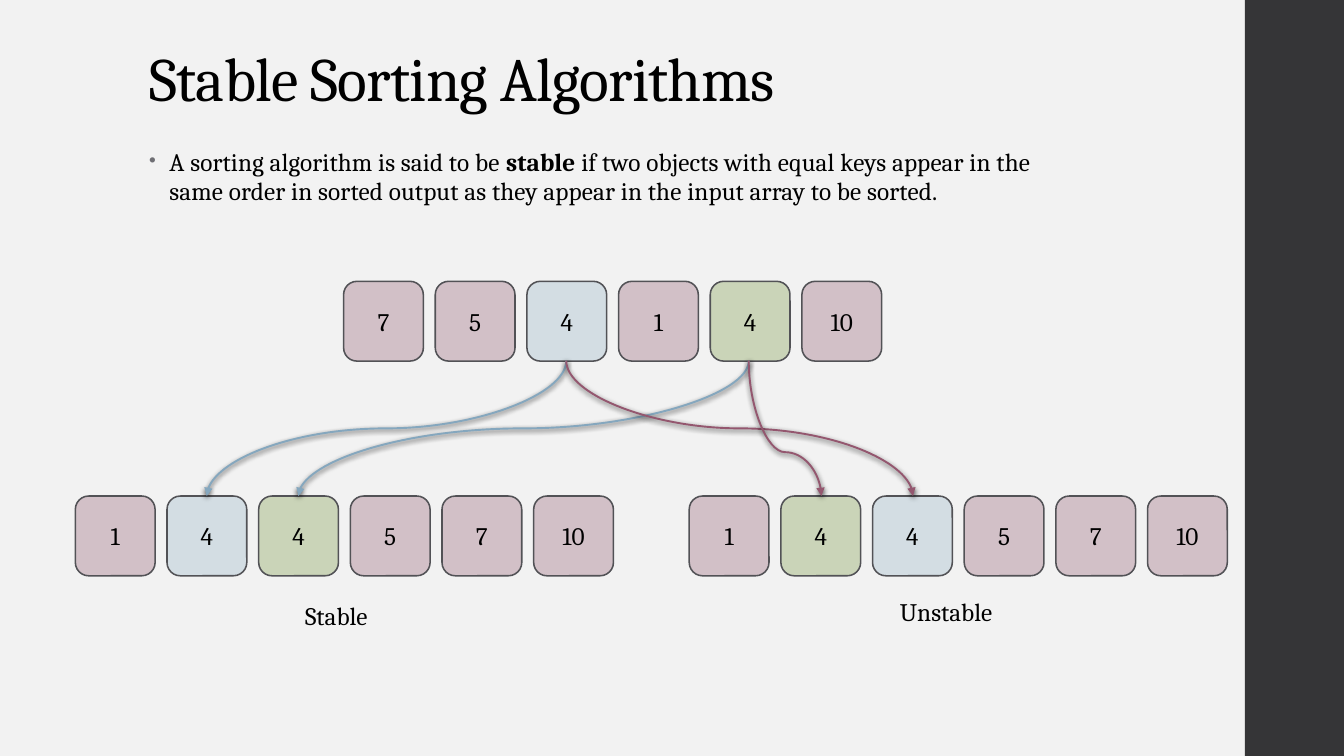
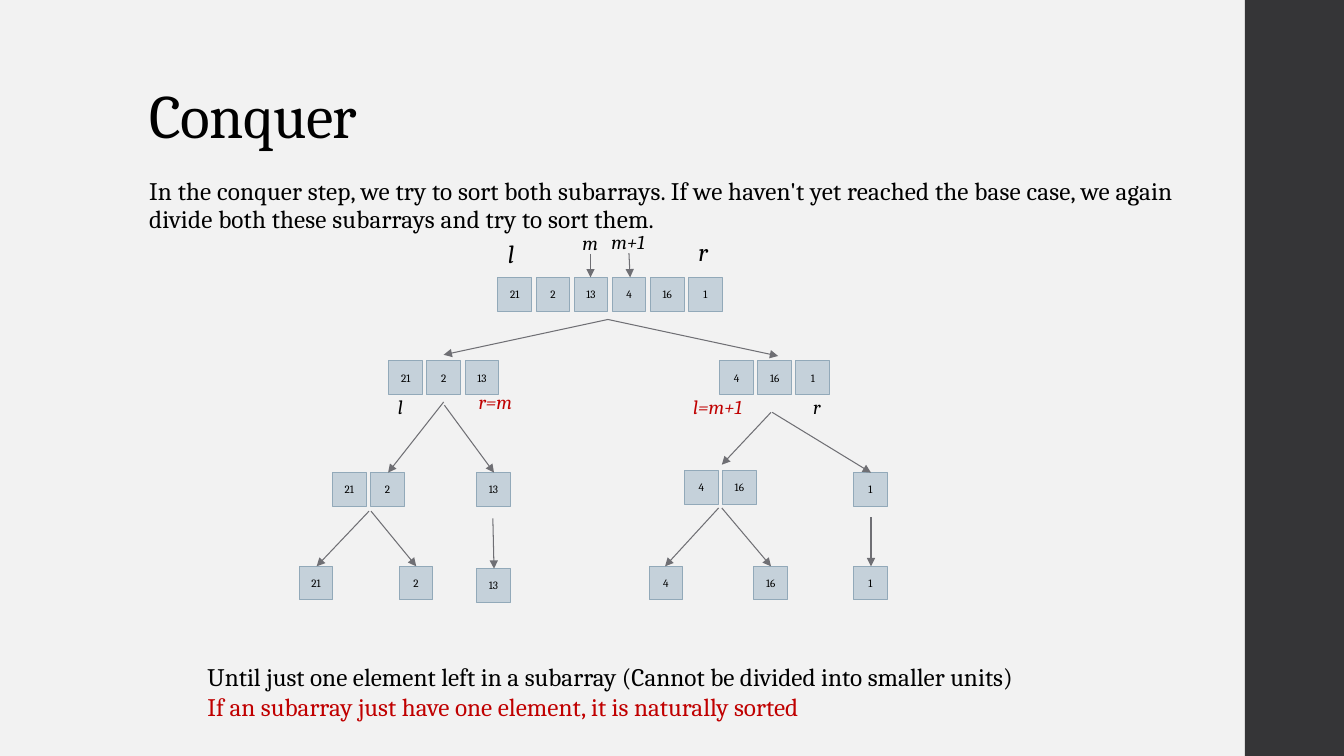
"""Build two slides on stable sorting and the conquer step of merge sort."""
from dataclasses import dataclass

from lxml import etree
from pptx import Presentation
from pptx.dml.color import RGBColor
from pptx.enum.shapes import MSO_CONNECTOR, MSO_SHAPE
from pptx.enum.text import MSO_ANCHOR, MSO_AUTO_SIZE, PP_ALIGN
from pptx.oxml import parse_xml
from pptx.oxml.ns import nsdecls, qn
from pptx.util import Cm, Pt

LEFT, MID = PP_ALIGN.LEFT, PP_ALIGN.CENTER
TOP, CENTER, BASE = MSO_ANCHOR.TOP, MSO_ANCHOR.MIDDLE, MSO_ANCHOR.BOTTOM
ROUND, RECT = MSO_SHAPE.ROUNDED_RECTANGLE, MSO_SHAPE.RECTANGLE
CURVE, LINE = MSO_CONNECTOR.CURVE, MSO_CONNECTOR.STRAIGHT
FIXED = MSO_AUTO_SIZE.NONE


@dataclass(frozen=True)
class Theme:
    font: str = "Cambria"
    head: int = 44
    text: int = 18
    label: int = 14
    small: int = 8
    ink: str = "000000"
    red: str = "C00000"
    page: str = "F2F2F2"
    band: str = "353537"
    gray: str = "6F6F74"
    rose: str = "D2C0C7"
    sky: str = "D3DDE3"
    leaf: str = "CAD4B8"
    edge: str = "525256"
    steel: str = "C5D1DA"
    rim: str = "92A9B9"
    blue: str = "85A7BE"
    wine: str = "94576F"


theme = Theme()


def write(shape, text, size=theme.text, color=theme.ink, italic=False,
          align=LEFT, anchor=TOP, lead=1.0, track=0, bullet=False):
    """Add a paragraph to a shape; text between asterisks is bold."""
    frame = shape.text_frame
    para = frame.add_paragraph() if frame.text else frame.paragraphs[0]
    frame.word_wrap, frame.auto_size = True, FIXED
    frame.vertical_anchor = anchor
    para.alignment, para.line_spacing = align, lead
    if bullet:
        props = para._p.get_or_add_pPr()
        props.set("marL", str(Cm(0.51)))
        props.set("indent", str(-Cm(0.51)))
        tint = etree.SubElement(props, qn("a:buClr"))
        etree.SubElement(tint, qn("a:srgbClr"), val=theme.gray)
        etree.SubElement(props, qn("a:buSzPct"), val="80000")
        etree.SubElement(props, qn("a:buChar"), char="•")
    for num, part in enumerate(text.split("*")):
        run = para.add_run()
        run.text = part
        font = run.font
        font.name, font.size = theme.font, Pt(size)
        font.bold, font.italic = num % 2 == 1, italic
        font.color.rgb = RGBColor.from_string(color)
        if track:
            run._r.get_or_add_rPr().set("spc", str(track))


def join(page, start, end, color=theme.gray, width=0.75, bend=None):
    """Draw an arrow; a bend makes it a shadowed curve that runs downward."""
    (x1, y1), (x2, y2) = start, end
    right = x2 > x1
    if bend:
        midx, midy = (x1 + x2) / 2, (y1 + y2) / 2
        long, wide = (y2 - y1) / 2, abs(x2 - x1) / 2
        turn = -1 if right else 1
        x1, x2 = midx - turn * long, midx + turn * long
        y1, y2 = midy - wide, midy + wide
    link = page.shapes.add_connector(
        CURVE if bend else LINE, Cm(x1), Cm(y1), Cm(x2), Cm(y2))
    link.line.color.rgb = RGBColor.from_string(color)
    link.line.width = Pt(width)
    props = link._element.spPr
    etree.SubElement(props.find(qn("a:ln")), qn("a:tailEnd"), type="triangle")
    shade = ""
    if bend:
        props.find(qn("a:xfrm")).set("rot", "16200000" if right else "5400000")
        guides = props.find(qn("a:prstGeom")).get_or_add_avLst()
        etree.SubElement(guides, qn("a:gd"), name="adj1", fmla=f"val {bend}")
        shade = ('<a:outerShdw blurRad="50800" dist="15240" dir="5400000">'
                 '<a:srgbClr val="000000"><a:alpha val="75000"/></a:srgbClr>'
                 '</a:outerShdw>')
    props.append(parse_xml(
        f'<a:effectLst {nsdecls("a")}>{shade}</a:effectLst>'))


deck = Presentation()
deck.slide_width, deck.slide_height = Cm(33.87), Cm(19.05)
layout = deck.slide_layouts[5]
ground = layout.background.fill
ground.solid()
ground.fore_color.rgb = RGBColor.from_string(theme.page)

pages = []
for name, top, tall in (("Stable Sorting Algorithms", 1.02, 2.01),
                        ("Conquer", 0.28, 3.68)):
    page = deck.slides.add_slide(layout)
    title = page.shapes.title
    title.left, title.top = Cm(3.51), Cm(top)
    title.width, title.height = Cm(26.92), Cm(tall)
    write(title, name, size=theme.head, anchor=BASE, lead=0.9, track=-50)
    pages.append(page)
stable, conquer = pages

band = stable.shapes.add_shape(RECT, Cm(31.37), 0, Cm(2.5), deck.slide_height)
band.shadow.inherit = False
band.fill.solid()
band.fill.fore_color.rgb = RGBColor.from_string(theme.band)
band.line.fill.background()
layout.shapes.element.append(band._element)

tones = {"a": theme.sky, "b": theme.leaf}
lists = [
    (8.66, 7.09, "7 5 4a 1 4b 10"),
    (1.9, 12.5, "1 4a 4b 5 7 10"),
    (17.37, 12.5, "1 4b 4a 5 7 10"),
]
tree = [
    (12.55, 6.99, "21 2 13 4 16 1"),
    (9.8, 9.09, "21 2 13"), (18.14, 9.09, "4 16 1"),
    (8.38, 11.91, "21 2"), (12.01, 11.91, "13"),
    (17.25, 11.86, "4 16"), (21.51, 11.91, "1"),
    (7.54, 14.27, "21"), (10.06, 14.27, "2"), (12.01, 14.33, "13"),
    (16.36, 14.27, "4"), (19, 14.27, "16"), (21.51, 14.27, "1"),
]
for page, rows, kind, side, step, fill, edge, width, size in (
        (stable, lists, ROUND, 2.01, 2.31, theme.rose, theme.edge, 1.1,
         theme.text),
        (conquer, tree, RECT, 0.85, 0.96, theme.steel, theme.rim, 0.75,
         theme.small)):
    for left, top, items in rows:
        for col, item in enumerate(items.split()):
            tile = page.shapes.add_shape(
                kind, Cm(left + col * step), Cm(top), Cm(side), Cm(side))
            tile.shadow.inherit = False
            tile.fill.solid()
            tile.fill.fore_color.rgb = RGBColor.from_string(
                tones.get(item[-1], fill))
            tile.line.color.rgb = RGBColor.from_string(edge)
            tile.line.width = Pt(width)
            frame = tile.text_frame
            frame.margin_left = frame.margin_right = 0
            write(tile, item.rstrip("ab"), size=size, align=MID, anchor=CENTER)

first, second = (14.27, 9.09), (18.87, 9.09)
for start, goal, color, bend in (
        (first, 5.21, theme.blue, 50000), (second, 7.52, theme.blue, 50000),
        (first, 23.01, theme.wine, 50000), (second, 20.7, theme.wine, 67600)):
    join(stable, start, (goal, 12.5), color=color, width=1.35, bend=bend)

for start, end in (
        ((15.32, 8.05), (11.18, 8.94)), ((15.32, 8.05), (19.61, 8.97)),
        ((14.88, 6.4), (14.88, 6.99)), ((15.85, 6.38), (15.88, 6.99)),
        ((11.18, 10.13), (9.78, 11.91)), ((11.2, 10.21), (12.45, 11.91)),
        ((9.3, 12.88), (7.98, 14.27)), ((9.35, 12.88), (10.49, 14.27)),
        ((12.42, 13.06), (12.45, 14.33)),
        ((19.43, 10.39), (18.19, 11.71)), ((19.46, 10.39), (21.95, 11.91)),
        ((18.11, 12.8), (16.76, 14.27)), ((18.19, 12.8), (19.43, 14.27)),
        ((21.95, 13.03), (21.95, 14.27))):
    join(conquer, start, end)

prose = dict(lead=0.95, track=10)
big = dict(italic=True)
note = dict(italic=True, size=theme.label)
alert = dict(note, color=theme.red)
for page, left, top, wide, tall, text, style in (
        (stable, 3.51, 3.63, 23.88, 2.95,
         "A sorting algorithm is said to be *stable* if two objects with "
         "equal keys appear in the same order in sorted output as they "
         "appear in the input array to be sorted.", dict(prose, bullet=True)),
        (stable, 7.44, 15.01, 2.41, 1.02, "Stable", {}),
        (stable, 22.43, 14.91, 3.2, 1.02, "Unstable", {}),
        (conquer, 3.51, 4.34, 27.53, 1.8,
         "In the conquer step, we try to sort both subarrays. If we haven't "
         "yet reached the base case, we again divide both these subarrays "
         "and try to sort them.", prose),
        (conquer, 12.55, 5.89, 0.74, 1.02, "l", big),
        (conquer, 17.35, 5.84, 0.79, 1.02, "r", big),
        (conquer, 14.43, 5.69, 1.09, 0.86, "m", note),
        (conquer, 15.16, 5.66, 2.51, 0.86, "m+1", note),
        (conquer, 9.78, 9.83, 0.74, 0.86, "l", note),
        (conquer, 11.81, 9.7, 1.47, 0.86, "r=m", alert),
        (conquer, 17.22, 9.83, 2.67, 0.86, "l=m+1", alert),
        (conquer, 20.24, 9.83, 0.76, 0.86, "r", note)):
    box = page.shapes.add_textbox(Cm(left), Cm(top), Cm(wide), Cm(tall))
    write(box, text, **style)

end = conquer.shapes.add_textbox(Cm(4.98), Cm(16.54), Cm(23.9), Cm(1.8))
write(end, "Until just one element left in a subarray "
           "(Cannot be divided into smaller units)")
write(end, "If an subarray just have one element, it is naturally sorted",
      color=theme.red)

deck.save("out.pptx")
